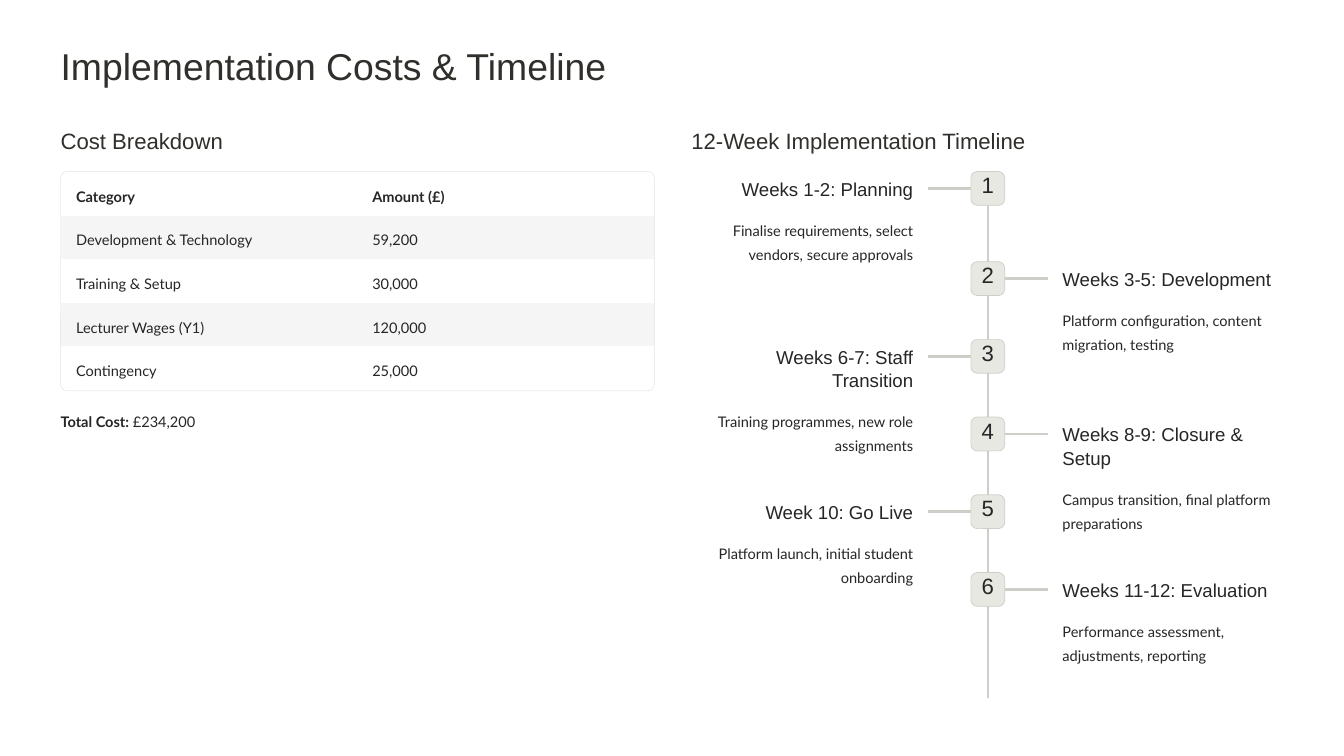
from lxml.etree import SubElement
from pptx import Presentation
from pptx.dml.color import RGBColor
from pptx.enum.shapes import MSO_CONNECTOR, MSO_SHAPE
from pptx.enum.text import MSO_ANCHOR, PP_ALIGN
from pptx.oxml.ns import qn
from pptx.util import Pt

HEADING, BODY = "312F2B", "272525"
RULE, BADGE = "CECEC9", "E8E8E3"
OUTLINE, BAND = "EBEBEB", "F5F5F5"
NO_STYLE = "{2D5ABB26-0587-4C30-8999-92F81FD0307C}"

COSTS = [
    ("Category", "Amount (£)"),
    ("Development & Technology", "59,200"),
    ("Training & Setup", "30,000"),
    ("Lecturer Wages (Y1)", "120,000"),
    ("Contingency", "25,000"),
]

# Title, lines the title takes, description
PHASES = [
    ("Weeks 1-2: Planning", 1, "Finalise requirements, select vendors, secure approvals"),
    ("Weeks 3-5: Development", 1, "Platform configuration, content migration, testing"),
    ("Weeks 6-7: Staff Transition", 2, "Training programmes, new role assignments"),
    ("Weeks 8-9: Closure & Setup", 2, "Campus transition, final platform preparations"),
    ("Week 10: Go Live", 1, "Platform launch, initial student onboarding"),
    ("Weeks 11-12: Evaluation", 1, "Performance assessment, adjustments, reporting"),
]


def rgb(color):
    return RGBColor.from_string(color)


def format_text(p, size, spacing, font="Lato", color=BODY, align=PP_ALIGN.LEFT, bold=False):
    p.alignment = align
    p.line_spacing = Pt(spacing)
    for r in p.runs:
        r.font.size, r.font.name, r.font.bold = Pt(size), font, bold
        r.font.color.rgb = rgb(color)


def set_margins(tf, left=0, top=0):
    tf.margin_left, tf.margin_top = Pt(left), Pt(top)
    tf.margin_right = tf.margin_bottom = 0


def add_text(s, text, x, y, w, h, size, spacing, **style):
    tf = s.shapes.add_textbox(Pt(x), Pt(y), Pt(w), Pt(h)).text_frame
    tf.word_wrap = True
    set_margins(tf)
    p = tf.paragraphs[0]
    p.text = text
    format_text(p, size, spacing, **style)
    return p


def add_heading(s, text, x, y, w):
    add_text(s, text, x, y, w, 24, 19, 24, font="Arial", color=HEADING)


def add_rounded(s, x, y, w, h, radius, line, fill=None):
    sp = s.shapes.add_shape(MSO_SHAPE.ROUNDED_RECTANGLE, Pt(x), Pt(y), Pt(w), Pt(h))
    sp.adjustments[0] = radius / min(w, h)
    sp.shadow.inherit = False
    sp.line.color.rgb, sp.line.width = rgb(line), Pt(0.6)
    if fill:
        sp.fill.solid()
        sp.fill.fore_color.rgb = rgb(fill)
    else:
        sp.fill.background()
    return sp


def add_rule(s, x1, y1, x2, y2):
    c = s.shapes.add_connector(MSO_CONNECTOR.STRAIGHT, Pt(x1), Pt(y1), Pt(x2), Pt(y2))
    c.line.color.rgb, c.line.width = rgb(RULE), Pt(2.2)
    SubElement(c._element.spPr, qn("a:effectLst"))


def add_cost_table(s, x, y, w, h):
    add_rounded(s, x, y, w, h, 5.5, OUTLINE)
    frame = s.shapes.add_table(len(COSTS), 2, Pt(x + 0.6), Pt(y + 0.6), Pt(w - 1.2), Pt(h - 1.2))
    table = frame.table
    table.first_row = table.horz_banding = False
    table._tbl.tblPr.find(qn("a:tableStyleId")).text = NO_STYLE
    for i, row in enumerate(COSTS):
        for j, text in enumerate(row):
            cell = table.cell(i, j)
            set_margins(cell, left=12.6, top=8)
            cell.vertical_anchor = MSO_ANCHOR.TOP
            if i % 2:
                cell.fill.solid()
                cell.fill.fore_color.rgb = rgb(BAND)
            else:
                cell.fill.background()
            p = cell.text_frame.paragraphs[0]
            p.text = text
            format_text(p, 12.5, 20.5, bold=i == 0)


def add_costs(s, x, y, w):
    add_heading(s, "Cost Breakdown", x, y, w)
    add_cost_table(s, x, y + 39, w, 188)
    p = add_text(s, "Total Cost:", x, y + 240.5, w, 20.5, 12.5, 20.5, bold=True)
    p.add_run().text = " £234,200"
    format_text(p, 12.5, 20.5)
    p.runs[0].font.bold = True


def add_badge(s, number, x, y, size):
    sp = add_rounded(s, x, y, size, size, 5.4, RULE, BADGE)
    tf = sp.text_frame
    tf.vertical_anchor = MSO_ANCHOR.TOP
    set_margins(tf, top=2.3)
    p = tf.paragraphs[0]
    p.text = str(number)
    format_text(p, 19, 19, font="Arial", align=PP_ALIGN.CENTER)


def add_phase(s, number, phase, mid, y, text_w):
    """Branch to the left for odd numbers and to the right for even ones."""
    title, lines, description = phase
    size, reach, gap = 29, 51.5, 64
    on_left = number % 2
    side = -1 if on_left else 1
    add_rule(s, mid + side * size / 2, y + size / 2, mid + side * reach, y + size / 2)
    add_badge(s, number, mid - size / 2, y, size)
    x = mid - gap - text_w if on_left else mid + gap
    align = PP_ALIGN.RIGHT if on_left else PP_ALIGN.LEFT
    title_h = 20 * lines
    add_text(s, title, x, y + 4.4, text_w, title_h, 16, 20, font="Arial", align=align)
    add_text(s, description, x, y + title_h + 17.5, text_w, 41, 12.5, 20.5, align=align)


def add_timeline(s, x, y, w, h):
    add_heading(s, "12-Week Implementation Timeline", x, y, w)
    mid, top = x + w / 2, y + 39
    add_rule(s, mid, top, mid, y + h)
    first_gap, step = 77.3, 66.6
    for i, phase in enumerate(PHASES):
        phase_y = top + (first_gap + (i - 1) * step if i else 0)
        add_phase(s, i + 1, phase, mid, phase_y, 190)


def main():
    prs = Presentation()
    prs.slide_width, prs.slide_height = Pt(1152), Pt(648)
    s = prs.slides.add_slide(prs.slide_layouts[6])
    add_text(s, "Implementation Costs & Timeline", 52, 35.5, 481, 40, 32, 40,
             font="Arial", color=HEADING)
    add_costs(s, 52, 108, 509)
    add_timeline(s, 592.6, 108, 508.2, 490.3)
    prs.save("out.pptx")


if __name__ == "__main__":
    main()
